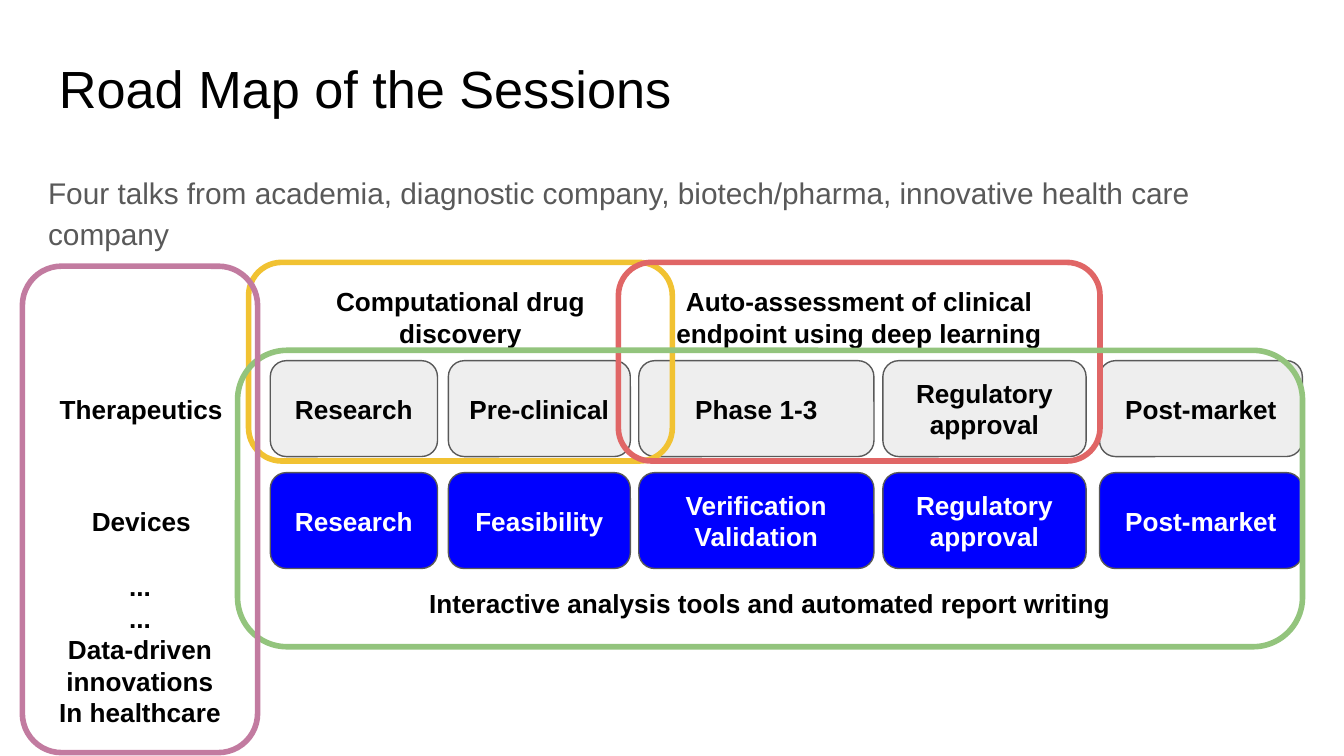
from pptx import Presentation
from pptx.dml.color import RGBColor
from pptx.enum.shapes import MSO_SHAPE
from pptx.enum.text import MSO_ANCHOR, PP_ALIGN
from pptx.util import Pt

ROUNDED = MSO_SHAPE.ROUNDED_RECTANGLE
TOP, MIDDLE, BOTTOM = MSO_ANCHOR.TOP, MSO_ANCHOR.MIDDLE, MSO_ANCHOR.BOTTOM
LEFT, CENTER = PP_ALIGN.LEFT, PP_ALIGN.CENTER

BLACK = RGBColor(0x00, 0x00, 0x00)
WHITE = RGBColor(0xFF, 0xFF, 0xFF)
DARK_GRAY = RGBColor(0x59, 0x59, 0x59)
LIGHT_GRAY = RGBColor(0xEE, 0xEE, 0xEE)
BLUE = RGBColor(0x00, 0x00, 0xFF)
YELLOW = RGBColor(0xF1, 0xC2, 0x32)
RED = RGBColor(0xE0, 0x66, 0x66)
GREEN = RGBColor(0x93, 0xC4, 0x7D)
MAUVE = RGBColor(0xC2, 0x7B, 0xA0)

INSET = 7.2
STAGE_HEIGHT = 51.4
LABEL_LEFT, LABEL_WIDTH = 12.7, 126
COLUMNS = [(144.8, 89.6), (240.2, 97.5), (342.2, 126), (473, 108.9), (589, 108.7)]

TRACKS = [
    ("Therapeutics", 193.2, LIGHT_GRAY, BLACK,
     ["Research", "Pre-clinical", "Phase 1-3", "Regulatory approval", "Post-market"]),
    ("Devices", 253.2, BLUE, WHITE,
     ["Research", "Feasibility", "Verification\nValidation", "Regulatory approval",
      "Post-market"]),
]

SESSIONS = [
    ("Computational drug discovery", (133.2, 140.6, 227, 106.4), YELLOW, TOP),
    ("Auto-assessment of clinical endpoint using deep learning",
     (331.3, 140.6, 258, 106.4), RED, TOP),
    ("Interactive analysis tools and automated report writing",
     (127.3, 187.7, 570.5, 158.8), GREEN, BOTTOM),
    ("...\n...\nData-driven innovations\nIn healthcare",
     (12, 142.6, 126, 260.6), MAUVE, BOTTOM),
]


def write_text(shape, text, size, color, bold=False, align=LEFT, anchor=TOP):
    """Fill a shape with wrapped Arial text."""
    frame = shape.text_frame
    frame.word_wrap = True
    frame.vertical_anchor = anchor
    frame.margin_left = frame.margin_right = Pt(INSET)
    frame.margin_top = frame.margin_bottom = Pt(INSET)
    frame.text = text
    for para in frame.paragraphs:
        para.alignment = align
        for span in para.runs:
            span.font.name = "Arial"
            span.font.size = Pt(size)
            span.font.bold = bold
            span.font.color.rgb = color


def add_text_box(page, box, text, size, color):
    """Add left-aligned text in a box and return its shape."""
    shape = page.shapes.add_textbox(*map(Pt, box))
    write_text(shape, text, size, color)
    return shape


def add_rounded_box(page, box, text, fill=None, line=None, line_width=0.75,
                    color=BLACK, anchor=MIDDLE):
    """Add a rounded rectangle with bold centred text."""
    shape = page.shapes.add_shape(ROUNDED, *map(Pt, box))
    shape.shadow.inherit = False
    if fill is None:
        shape.fill.background()
    else:
        shape.fill.solid()
        shape.fill.fore_color.rgb = fill
    if line is None:
        shape.line.fill.background()
    else:
        shape.line.color.rgb = line
        shape.line.width = Pt(line_width)
    write_text(shape, text, 14, color, True, CENTER, anchor)


def add_heading(page, title_box, subtitle_box):
    """Add the title and the sentence below it."""
    add_text_box(page, title_box, "Road Map of the Sessions", 28, BLACK)
    subtitle = add_text_box(
        page, subtitle_box,
        "Four talks from academia, diagnostic company, biotech/pharma, "
        "innovative health care company", 16, DARK_GRAY)
    subtitle.text_frame.paragraphs[0].line_spacing = 1.15


def add_track(page, top, label, fill, color, stages):
    """Add a row of development stages with its label."""
    for (left, width), stage in zip(COLUMNS, stages):
        add_rounded_box(page, (left, top, width, STAGE_HEIGHT), stage,
                        fill, DARK_GRAY, color=color)
    add_rounded_box(page, (LABEL_LEFT, top, LABEL_WIDTH, STAGE_HEIGHT), label)


def add_sessions(page):
    """Add the coloured outlines showing what each session covers."""
    for text, box, line, anchor in SESSIONS:
        add_rounded_box(page, box, text, line=line, line_width=3, anchor=anchor)


def main():
    """Build and save the slide."""
    deck = Presentation()
    deck.slide_width, deck.slide_height = Pt(720), Pt(405)
    page = deck.slides.add_slide(deck.slide_layouts[6])
    add_heading(page, (24.5, 23, 682, 65.5), (18.7, 83.5, 688.3, 270))
    for label, top, fill, color, stages in TRACKS:
        add_track(page, top, label, fill, color, stages)
    add_sessions(page)
    deck.save("out.pptx")


if __name__ == "__main__":
    main()
